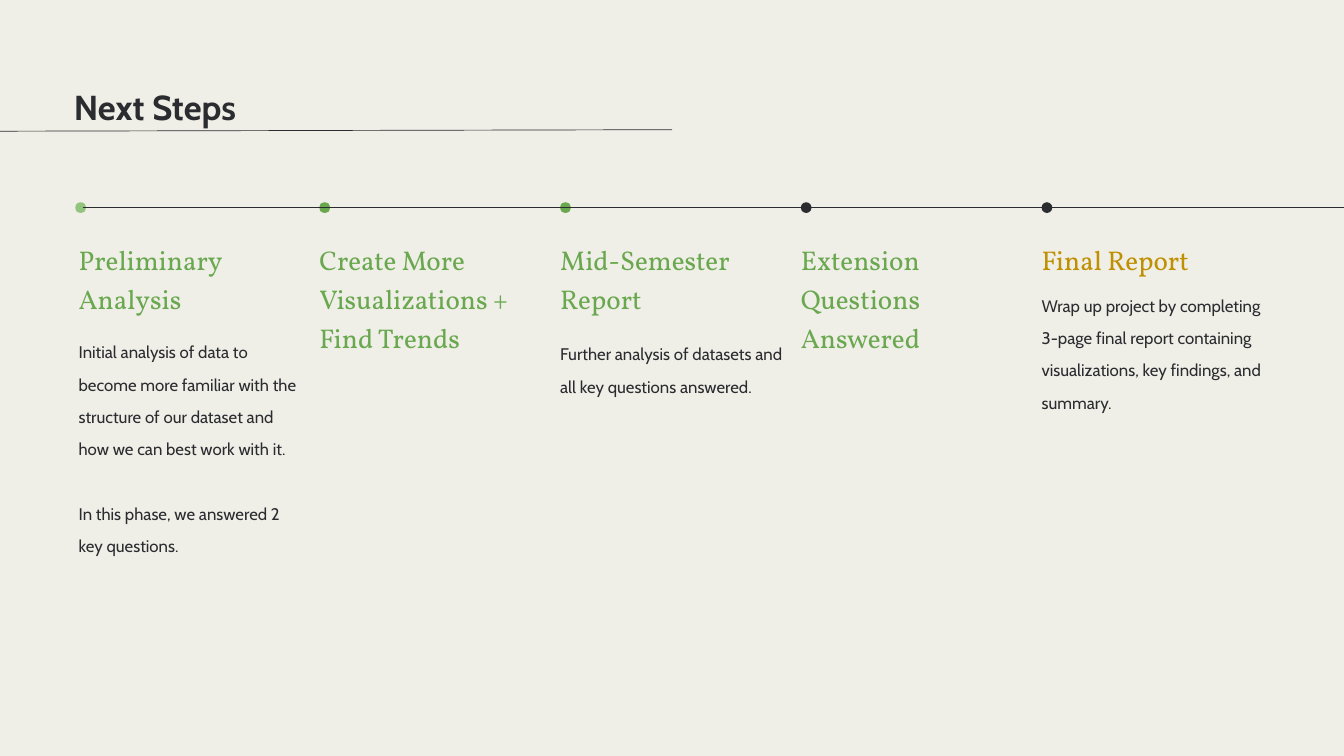
from dataclasses import dataclass

from lxml import etree
from pptx import Presentation
from pptx import util as u
from pptx.dml.color import RGBColor
from pptx.enum import shapes, text
from pptx.oxml import ns


@dataclass(frozen=True)
class Theme:
    paper: RGBColor = RGBColor.from_string("EFEEE7")
    ink: RGBColor = RGBColor.from_string("2B2C30")
    green: RGBColor = RGBColor.from_string("6AA84F")
    light_green: RGBColor = RGBColor.from_string("93C47D")
    gold: RGBColor = RGBColor.from_string("BF9000")
    sans: str = "Cabin"
    serif: str = "Vollkorn"
    title_size: float = 37.1
    heading_size: float = 29
    body_size: float = 18
    rule_width: float = 0.75


theme = Theme()
deck = Presentation()
deck.slide_width = u.Inches(20)
deck.slide_height = u.Inches(11.25)
page = deck.slides.add_slide(deck.slide_layouts[6])
page.background.fill.solid()
page.background.fill.fore_color.rgb = theme.paper


def add_text(place, lines, font, size, color, spacing, gap=0, bold=False):
    box = page.shapes.add_textbox(*[u.Inches(length) for length in place])
    frame = box.text_frame
    frame.word_wrap = True
    frame.auto_size = text.MSO_AUTO_SIZE.SHAPE_TO_FIT_TEXT
    frame.margin_left = frame.margin_right = 0
    frame.margin_top = frame.margin_bottom = 0
    for index, line in enumerate(lines):
        para = frame.add_paragraph() if index else frame.paragraphs[0]
        para.line_spacing = spacing
        if index:
            para.space_before = u.Pt(gap)
        span = para.add_run()
        span.text = line
        span.font.name = font
        span.font.size = u.Pt(size)
        span.font.bold = bold
        span.font.color.rgb = color


def add_rule(*ends):
    rule = page.shapes.add_connector(
        shapes.MSO_CONNECTOR.STRAIGHT, *[u.Inches(end) for end in ends])
    rule.line.color.rgb = theme.ink
    rule.line.width = u.Pt(theme.rule_width)
    etree.SubElement(rule._element.spPr, ns.qn("a:effectLst"))


# Title and its underline
add_text((1.1, 1.03, 17.75, 0.63), ["Next Steps"], theme.sans,
         theme.title_size, theme.ink, 1.4, bold=True)
add_rule(-7.75, 1.97, 10, 1.93)

# Steps: heading lines, heading height, heading colour, dot colour,
# squared dot, body top, body height, body paragraphs
steps = [
    (["Preliminary", "Analysis"], 1.07, theme.green, theme.light_green, True,
     4.91, 3.7,
     ["Initial analysis of data to become more familiar with the structure "
      "of our dataset and how we can best work with it.",
      "In this phase, we answered 2 key questions."]),
    (["Create More Visualizations + Find Trends"], 2.25, theme.green,
     theme.green, True, 0, 0, []),
    (["Mid-Semester Report"], 1.07, theme.green, theme.green, True, 4.94, 1.27,
     ["Further analysis of datasets and all key questions answered."]),
    (["Extension Questions Answered"], 1.66, theme.green, theme.ink, False,
     0, 0, []),
    (["Final Report"], 0.49, theme.gold, theme.ink, False, 4.22, 2.24,
     ["Wrap up project by completing 3-page final report containing "
      "visualizations, key findings, and summary."]),
]
first_left, last_left = 1.17, 15.5
pitch = (last_left - first_left) / (len(steps) - 1)
line_y = 3.09
dot_radius = 0.08

for index, step in enumerate(steps):
    (heading, heading_height, heading_color, dot_color, squared,
     body_top, body_height, body) = step
    left = first_left + index * pitch
    add_text((left, 3.52, 3.05, heading_height), heading, theme.serif,
             theme.heading_size, heading_color, 1.2)
    if body:
        add_text((left, body_top, 3.38, body_height), body, theme.sans,
                 theme.body_size, theme.ink, 1.6, gap=34.5)

    # Timeline dot; the green ones have a square over the circle
    center = left + dot_radius if index else 1.2
    marks = [(shapes.MSO_SHAPE.OVAL, dot_radius)]
    if squared:
        marks.append((shapes.MSO_SHAPE.RECTANGLE, 0.06))
    for kind, half in marks:
        dot = page.shapes.add_shape(
            kind, u.Inches(center - half), u.Inches(line_y - half),
            u.Inches(2 * half), u.Inches(2 * half))
        dot.shadow.inherit = False
        dot.fill.solid()
        dot.fill.fore_color.rgb = dot_color
        dot.line.fill.background()

# Timeline, running off the right edge
add_rule(1.23, line_y, 20.26, line_y)

deck.save("out.pptx")
